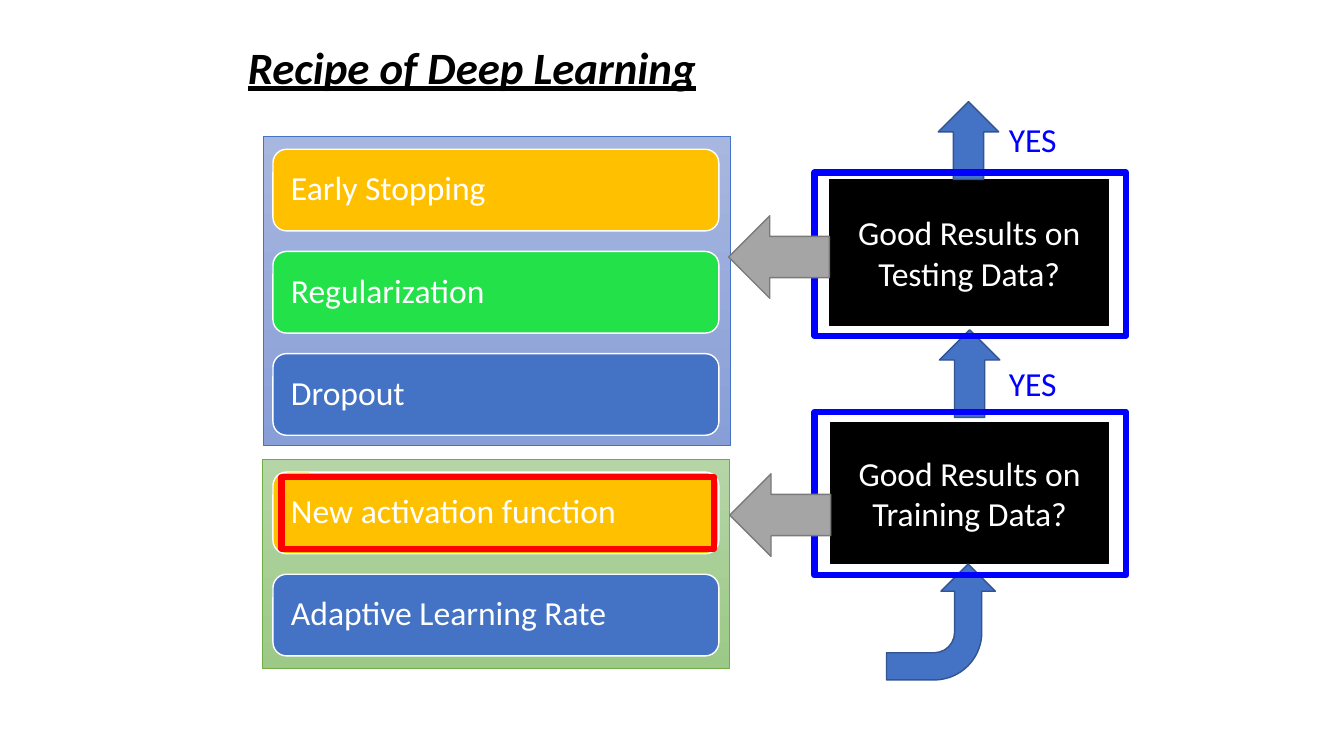
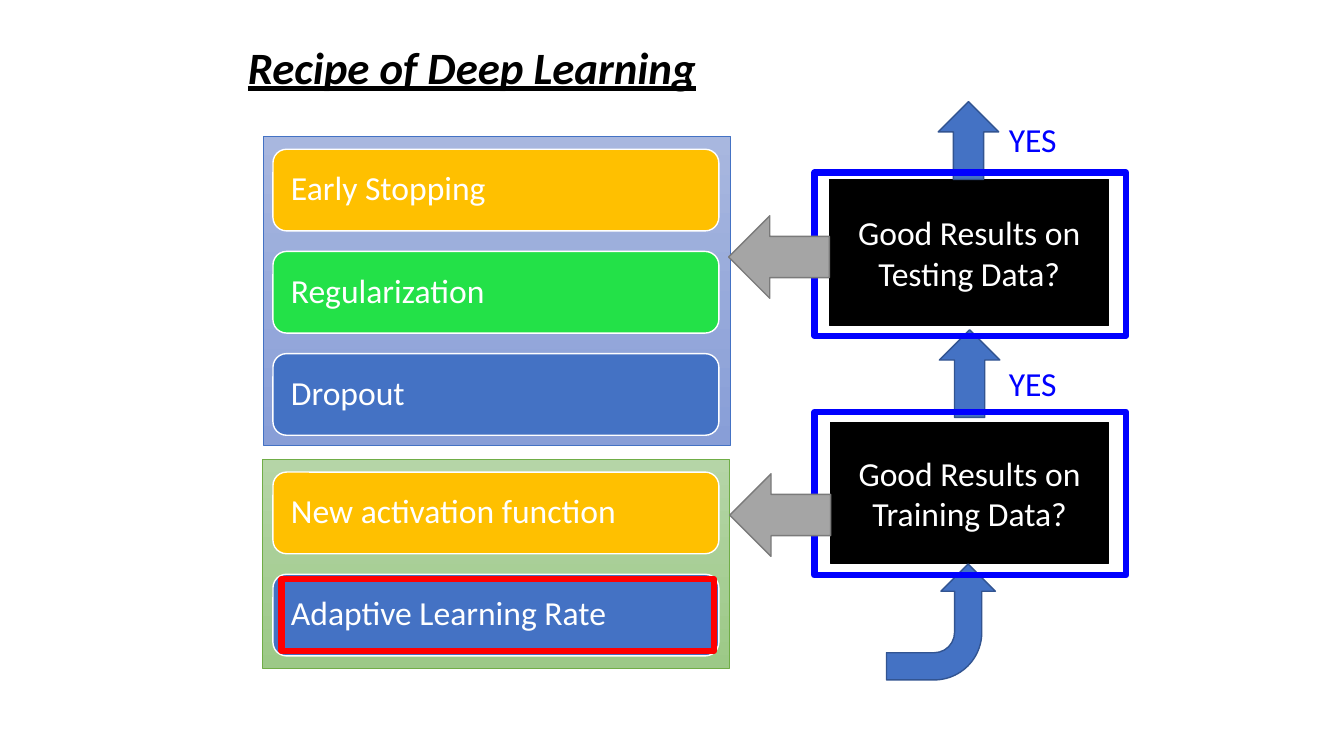
from typing import NamedTuple

from pptx import Presentation
from pptx.dml.color import RGBColor
from pptx.enum import shapes, text
from pptx.util import Pt

HUE = {
    "white": "FFFFFF", "black": "000000", "ink": "0000FF", "red": "FF0000",
    "blue": "4472C4", "navy": "325491", "gold": "FFC000", "lime": "23E148",
    "gray": "A5A5A5", "slate": "7A7A7A", "leaf": "70AD47",
    "sky_top": "A8B7DF", "sky_end": "889ED7",
    "leaf_top": "B5D5A7", "leaf_end": "9CC987",
}
FONT = "Calibri"
KIND = shapes.MSO_SHAPE
SIDE = text.PP_ALIGN
BAR_X, BAR_W, BAR_H = 195, 318.5, 58.3
BAR_GAP, BAR_STEP = 9.4, 73
MARK_IN = 3.5


class Box(NamedTuple):
    x: float
    y: float
    w: float
    h: float


class Bar(NamedTuple):
    label: str
    hue: str


class Panel(NamedTuple):
    box: Box
    edge: str
    shade: tuple[str, str]
    bars: tuple[Bar, ...]


class Check(NamedTuple):
    label: str
    box: Box
    frame: Box
    up: Box
    left: Box
    yes: float


TEST = Panel(
    Box(188, 97.2, 334, 221), "blue", ("sky_top", "sky_end"),
    (Bar("Early Stopping", "gold"), Bar("Regularization", "lime"),
     Bar("Dropout", "blue")),
)
TRAIN = Panel(
    Box(187.2, 327.8, 334, 149.5), "leaf", ("leaf_top", "leaf_end"),
    (Bar("New activation function", "gold"),
     Bar("Adaptive Learning Rate", "blue")),
)
CHECKS = (
    Check("Good Results on Testing Data?", Box(592.6, 128.2, 199.4, 104.4),
          Box(581.8, 123.3, 222.5, 116.6), Box(670.2, 72.6, 43.2, 55.6),
          Box(520.4, 154.1, 72, 59), 81.4),
    Check("Good Results on Training Data?", Box(593.2, 301.7, 198.8, 100.8),
          Box(581.8, 294.3, 222.5, 116.6), Box(671, 235.6, 43.2, 62.6),
          Box(521.3, 338.4, 72, 59), 255.6),
)


def color(name: str) -> RGBColor:
    return RGBColor.from_string(HUE[name])


def style(para, size: float, hue: str, align=SIDE.LEFT) -> None:
    para.alignment = align
    para.font.name, para.font.size = FONT, Pt(size)
    para.font.color.rgb = color(hue)


def draw(slide, kind, box: Box, fill: str | None, line: str, width: float = 1):
    """Add a preset shape; without a fill name it is an open outline."""
    shape = slide.shapes.add_shape(kind, *map(Pt, box))
    shape.shadow.inherit = False
    if fill:
        shape.fill.solid()
        shape.fill.fore_color.rgb = color(fill)
    else:
        shape.fill.background()
    shape.line.color.rgb = color(line)
    shape.line.width = Pt(width)
    return shape


def write(slide, words: str, box: Box, size: float, hue: str):
    area = slide.shapes.add_textbox(*map(Pt, box))
    area.text_frame.word_wrap = True
    para = area.text_frame.paragraphs[0]
    para.text = words
    style(para, size, hue)
    return para


def bar_box(panel: Panel, row: int) -> Box:
    return Box(BAR_X, panel.box.y + BAR_GAP + row * BAR_STEP, BAR_W, BAR_H)


def add_panel(slide, panel: Panel) -> None:
    back = draw(slide, KIND.RECTANGLE, panel.box, None, panel.edge, 0.5)
    back.fill.gradient()
    back.fill.gradient_angle = 270
    for stop, hue in zip(back.fill.gradient_stops, panel.shade):
        stop.color.rgb = color(hue)
    for row, bar in enumerate(panel.bars):
        shape = draw(slide, KIND.ROUNDED_RECTANGLE, bar_box(panel, row),
                     bar.hue, "white")
        frame = shape.text_frame
        frame.margin_left = Pt(10)
        frame.vertical_anchor = text.MSO_ANCHOR.MIDDLE
        para = frame.paragraphs[0]
        para.text, para.line_spacing = bar.label, 0.9
        style(para, 24, "white")


def add_check(slide, check: Check) -> None:
    """Add a framed question with its two ways out."""
    box = draw(slide, KIND.RECTANGLE, check.box, "black", "black")
    box.text_frame.vertical_anchor = text.MSO_ANCHOR.MIDDLE
    para = box.text_frame.paragraphs[0]
    para.text = check.label
    style(para, 24, "white", SIDE.CENTER)
    draw(slide, KIND.UP_ARROW, check.up, "blue", "navy")
    write(slide, "YES", Box(713.5, check.yes, 60.5, 36), 24, "ink")


def add_entry(slide) -> None:
    """Add the bent arrow that leads up into the first question."""
    bent = draw(slide, KIND.BENT_ARROW, Box(630.7, 405.4, 82.8, 77.8),
                "blue", "navy")
    bent.rotation = 270
    bent._element.spPr.xfrm.set("flipV", "1")


def add_recipe(slide, row: int) -> None:
    """Draw the whole recipe and mark one training bar."""
    title = write(slide, "Recipe of Deep Learning",
                  Box(170, 24.5, 342.7, 46), 32, "black")
    title.font.bold = title.font.italic = title.font.underline = True
    for panel in (TEST, TRAIN):
        add_panel(slide, panel)
    for check in CHECKS:
        add_check(slide, check)
    add_entry(slide)
    for check in CHECKS:
        draw(slide, KIND.RECTANGLE, check.frame, None, "ink", 4.5)
        draw(slide, KIND.LEFT_ARROW, check.left, "gray", "slate")
    bar = bar_box(TRAIN, row)
    mark = Box(201, bar.y + MARK_IN, 309, bar.h - 2 * MARK_IN)
    draw(slide, KIND.RECTANGLE, mark, None, "red", 4.5)


def main() -> None:
    deck = Presentation()
    deck.slide_width, deck.slide_height = Pt(960), Pt(540)
    for row in range(len(TRAIN.bars)):
        add_recipe(deck.slides.add_slide(deck.slide_layouts[6]), row)
    deck.save("out.pptx")


if __name__ == "__main__":
    main()
